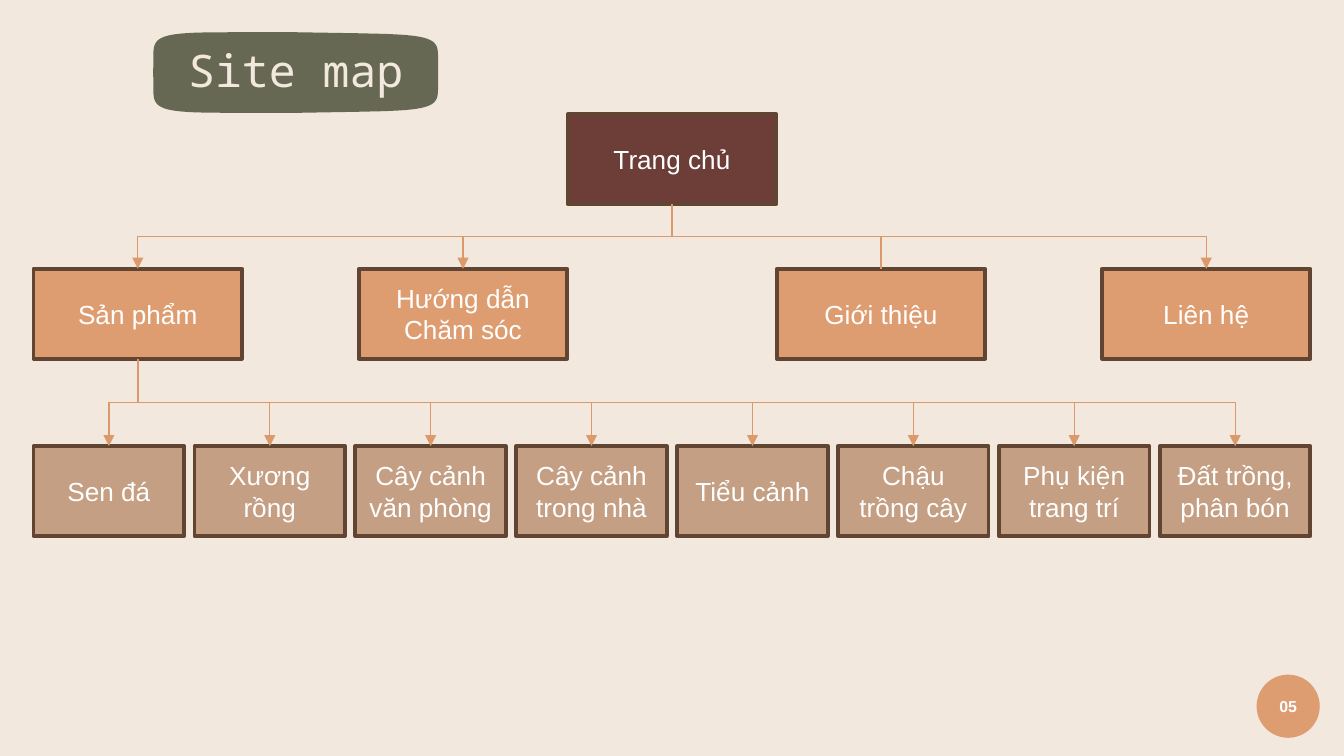
"""Build a site map slide: a home page, its four sections and the product pages."""
from math import copysign, cos, pi, sin

from lxml import etree
from pptx import Presentation
from pptx.dml.color import RGBColor
from pptx.enum.shapes import MSO_CONNECTOR, MSO_SHAPE
from pptx.enum.text import MSO_ANCHOR, PP_ALIGN
from pptx.oxml.ns import qn
from pptx.util import Inches, Pt

RECT, OVAL, ELBOW = MSO_SHAPE.RECTANGLE, MSO_SHAPE.OVAL, MSO_CONNECTOR.ELBOW
MIDDLE, CENTER = MSO_ANCHOR.MIDDLE, PP_ALIGN.CENTER
BOTTOM_SITE, TOP_SITE = 2, 0

TITLE = "Site map"
PAGE_NUMBER = "05"
HOME = ["Trang chủ"]
SECTIONS = [["Sản phẩm"], ["Hướng dẫn", "Chăm sóc"], ["Giới thiệu"], ["Liên hệ"]]
PRODUCTS = [["Sen đá"], ["Xương rồng"], ["Cây cảnh văn phòng"], ["Cây cảnh trong nhà"],
            ["Tiểu cảnh"], ["Chậu trồng cây"], ["Phụ kiện trang trí"], ["Đất trồng, phân bón"]]
PRODUCT_SECTION, SECTION_WITHOUT_ARROW = 0, 2

COLORS = {"background": "F2E8DD", "brush": "666853", "home": "6D3D37", "section": "DE9D71",
          "product": "C49F83", "border": "614532", "link": "DC996C", "badge": "DD9D71",
          "text": "FFFFFF"}
BODY_FONT, TITLE_FONT = "Arial", "Noto Sans Mono"

SLIDE_W = 10
SLIDE_H = SLIDE_W * 9 / 16
MARGIN = 0.25
BOX_H = 0.67
SECTION_W, PRODUCT_W = 1.55, 1.12
SECTION_STEP = 2.42
HOME_Y, SECTION_Y, PRODUCT_Y = 0.85, 2, 3.32
BRUSH_X, BRUSH_Y, BRUSH_W, BRUSH_H = 1.14, 0.24, 2.12, 0.6
TITLE_W, TITLE_H = 2.46, 0.44
BADGE_X, BADGE_Y, BADGE_SIZE = 9.35, 5.02, 0.47
BRUSH_POINTS, BRUSH_SQUARENESS, BRUSH_TAPER = 120, 7, 0.06


def rgb(name):
    return RGBColor.from_string(COLORS[name])


def paint(sp, fill, border=None):
    sp.shadow.inherit = False
    sp.fill.solid()
    sp.fill.fore_color.rgb = rgb(fill)
    if border:
        sp.line.color.rgb = rgb(border)
        sp.line.width = Pt(2)
    else:
        sp.line.fill.background()


def write(sp, lines, size, font=BODY_FONT, color="text", bold=False):
    tf = sp.text_frame
    tf.word_wrap = True
    tf.vertical_anchor = MIDDLE
    for i, line in enumerate(lines):
        p = tf.paragraphs[0] if i == 0 else tf.add_paragraph()
        p.alignment = CENTER
        r = p.add_run()
        r.text = line
        r.font.name, r.font.size, r.font.bold = font, Pt(size), bold
        r.font.color.rgb = rgb(color)


def brush_outline():
    """Return the points of a squarish oval that narrows towards the right."""
    def bend(value):
        return copysign(abs(value) ** (2 / BRUSH_SQUARENESS), value)

    points = []
    for i in range(BRUSH_POINTS):
        angle = 2 * pi * i / BRUSH_POINTS
        across, down = bend(cos(angle)), bend(sin(angle))
        down *= 1 - BRUSH_TAPER * max(across, 0)
        points.append((Inches(BRUSH_X + BRUSH_W * (1 + across) / 2),
                       Inches(BRUSH_Y + BRUSH_H * (1 + down) / 2)))
    return points


def add_title(slide):
    title = slide.shapes.title
    start, *rest = brush_outline()
    builder = slide.shapes.build_freeform(*start)
    builder.add_line_segments(rest, close=True)
    brush = builder.convert_to_shape()
    paint(brush, "brush")
    title._element.addprevious(brush._element)

    title.left = Inches(BRUSH_X + (BRUSH_W - TITLE_W) / 2)
    title.top = Inches(BRUSH_Y + (BRUSH_H - TITLE_H) / 2)
    title.width, title.height = Inches(TITLE_W), Inches(TITLE_H)
    write(title, [TITLE], 24, TITLE_FONT, "background")
    tf = title.text_frame
    tf.margin_left = tf.margin_right = tf.margin_top = tf.margin_bottom = 0
    tf.paragraphs[0].line_spacing = 0.9


def add_row(slide, xs, y, w, labels, fill):
    boxes = []
    for x, lines in zip(xs, labels):
        sp = slide.shapes.add_shape(RECT, Inches(x), Inches(y), Inches(w), Inches(BOX_H))
        paint(sp, fill, "border")
        write(sp, lines, 14)
        boxes.append(sp)
    return boxes


def add_link(slide, parent, child, arrow=True):
    """Join two boxes by an elbow, turned a quarter so that it leaves downwards."""
    x1, y1 = parent.left + parent.width // 2, parent.top + parent.height
    x2, y2 = child.left + child.width // 2, child.top
    link = slide.shapes.add_connector(ELBOW, x1, y1, x2, y2)
    link.begin_connect(parent, BOTTOM_SITE)
    link.end_connect(child, TOP_SITE)

    drop, span = y2 - y1, abs(x2 - x1)
    link.left, link.top = (x1 + x2 - drop) // 2, (y1 + y2 - span) // 2
    link.width, link.height = drop, span
    to_right = x2 > x1
    props = link._element.spPr
    xfrm = props.find(qn("a:xfrm"))
    xfrm.set("rot", str((270 if to_right else 90) * 60000))
    xfrm.set("flipH", str(int(to_right)))

    link.line.color.rgb = rgb("link")
    link.line.width = Pt(0.75)
    if arrow:
        etree.SubElement(props.find(qn("a:ln")), qn("a:tailEnd"), type="triangle")
    etree.SubElement(props, qn("a:effectLst"))


def add_site_map(slide):
    home_x = (SLIDE_W - SECTION_W) / 2
    left_xs = [MARGIN, MARGIN + SECTION_STEP]
    right_xs = [SLIDE_W - SECTION_W - x for x in reversed(left_xs)]
    product_step = (SLIDE_W - 2 * MARGIN - PRODUCT_W) / (len(PRODUCTS) - 1)
    product_xs = [MARGIN + i * product_step for i in range(len(PRODUCTS))]

    [home] = add_row(slide, [home_x], HOME_Y, SECTION_W, [HOME], "home")
    sections = add_row(slide, left_xs + right_xs, SECTION_Y, SECTION_W, SECTIONS, "section")
    products = add_row(slide, product_xs, PRODUCT_Y, PRODUCT_W, PRODUCTS, "product")

    for i, section in enumerate(sections):
        add_link(slide, home, section, arrow=i != SECTION_WITHOUT_ARROW)
    for product in products:
        add_link(slide, sections[PRODUCT_SECTION], product)


def add_badge(slide):
    size = Inches(BADGE_SIZE)
    badge = slide.shapes.add_shape(OVAL, Inches(BADGE_X), Inches(BADGE_Y), size, size)
    paint(badge, "badge")
    write(badge, [PAGE_NUMBER], 8.5, bold=True)


def main():
    prs = Presentation()
    prs.slide_width, prs.slide_height = Inches(SLIDE_W), Inches(SLIDE_H)
    slide = prs.slides.add_slide(prs.slide_layouts[5])
    slide.background.fill.solid()
    slide.background.fill.fore_color.rgb = rgb("background")
    add_title(slide)
    add_site_map(slide)
    add_badge(slide)
    prs.save("out.pptx")


if __name__ == "__main__":
    main()
